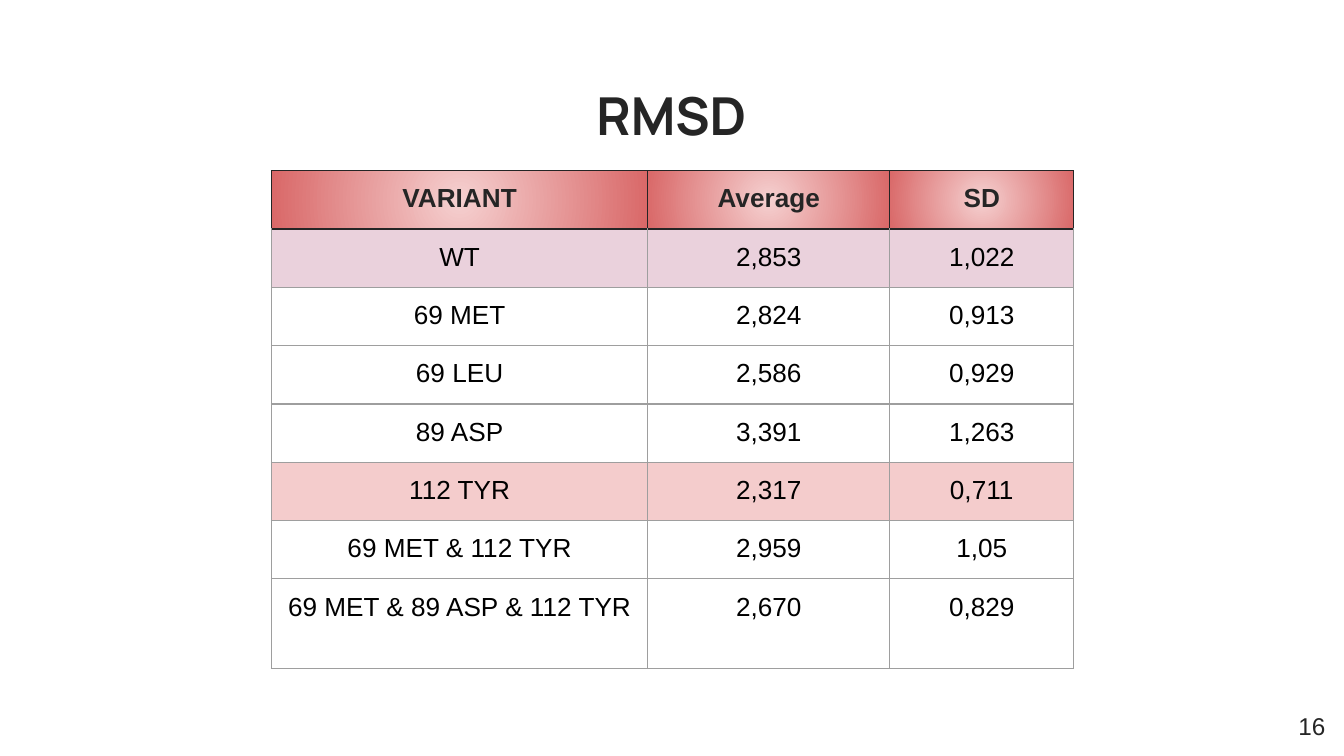
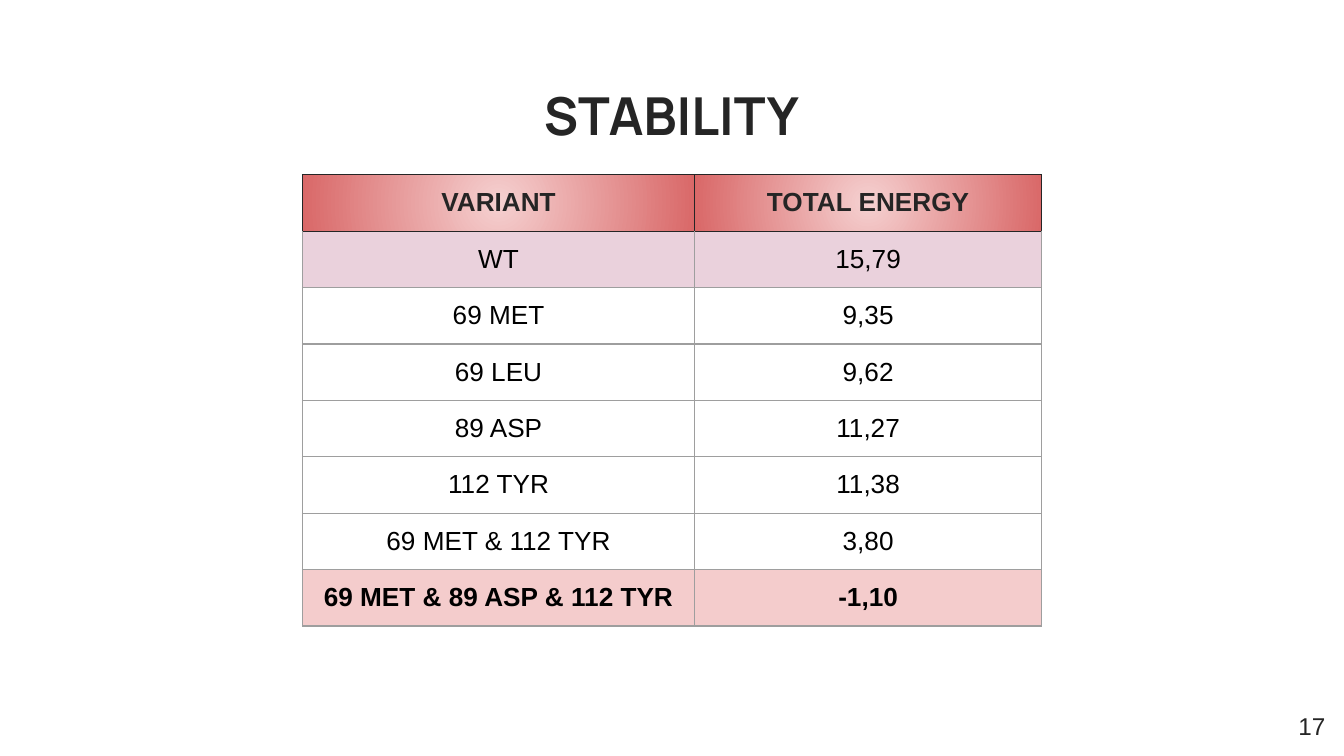
from pptx import Presentation
from pptx.dml.color import RGBColor
from pptx.enum.text import MSO_ANCHOR as Anchor, PP_ALIGN as Align
from pptx.oxml import parse_xml
from pptx.oxml.ns import nsdecls
from pptx.util import Inches, Pt

COLORS = {
    "ink": "252525",
    "body": "000000",
    "grid": "9E9E9E",
    "reference": "EAD1DC",
    "best": "F4CCCC",
    "header_center": "F5D0D0",
    "header_edge": "D96868",
}
TITLE_FONT = "Manrope"
TEXT_FONT = "Arial"
PADDING = 0.1
BORDER = Pt(0.75)
FRAME_SIDE = Inches(3.28)

VARIANTS = ["WT", "69 MET", "69 LEU", "89 ASP", "112 TYR",
            "69 MET & 112 TYR", "69 MET & 89 ASP & 112 TYR"]
AVERAGES = ["2,853", "2,824", "2,586", "3,391", "2,317", "2,959", "2,670"]
DEVIATIONS = ["1,022", "0,913", "0,929", "1,263", "0,711", "1,05", "0,829"]
ENERGIES = ["15,79", "9,35", "9,62", "11,27", "11,38", "3,80", "-1,10"]


def rgb(name):
    return RGBColor.from_string(COLORS[name])


def write(frame, text, size, color, font=TEXT_FONT, bold=False, align=Align.CENTER):
    paragraph = frame.paragraphs[0]
    paragraph.alignment = align
    run = paragraph.add_run()
    run.text = text
    run.font.name = font
    run.font.size = Pt(size)
    run.font.bold = bold
    run.font.color.rgb = rgb(color)


def pad(box, bottom=PADDING):
    box.margin_left = box.margin_right = box.margin_top = Inches(PADDING)
    box.margin_bottom = Inches(bottom)


# Title and page number
def add_title(slide, text):
    title = slide.shapes.title
    title.left, title.top = Inches(2.92), Inches(0.42)
    title.width, title.height = Inches(4.15), Inches(0.77)
    frame = title.text_frame
    frame.word_wrap = True
    frame.vertical_anchor = Anchor.BOTTOM
    pad(frame)
    write(frame, text, 28, "ink", TITLE_FONT, bold=True)


def add_page_number(slide, number):
    frame = slide.shapes.add_textbox(
        Inches(9.36), Inches(5.19), Inches(0.6), Inches(0.43)).text_frame
    frame.word_wrap = True
    pad(frame)
    write(frame, str(number), 13, "ink", align=Align.RIGHT)


# Table cells
def set_borders(cell, color, top_color):
    properties = cell._tc.get_or_add_tcPr()
    for side in "LRTB":
        line_color = COLORS[top_color if side == "T" else color]
        properties.append(parse_xml(
            f'<a:ln{side} {nsdecls("a")} w="{BORDER}"><a:solidFill>'
            f'<a:srgbClr val="{line_color}"/></a:solidFill></a:ln{side}>'))


def fill_header(cell):
    cell._tc.get_or_add_tcPr().append(parse_xml(
        f'<a:gradFill {nsdecls("a")}><a:gsLst>'
        f'<a:gs pos="0"><a:srgbClr val="{COLORS["header_center"]}"/></a:gs>'
        f'<a:gs pos="100000"><a:srgbClr val="{COLORS["header_edge"]}"/></a:gs>'
        '</a:gsLst><a:path path="circle">'
        '<a:fillToRect l="50000" t="50000" r="50000" b="50000"/>'
        '</a:path></a:gradFill>'))


def fill_row(cell, color):
    if color:
        cell.fill.solid()
        cell.fill.fore_color.rgb = rgb(color)
    else:
        cell.fill.background()


def add_variant_table(slide, left, top, widths, heights, header, columns,
                      best, bold_best=False, bottom_padding=PADDING):
    rows = [header, *zip(*columns)]
    holder = slide.shapes.add_table(
        len(rows), len(header), Inches(left), Inches(top), FRAME_SIDE, FRAME_SIDE)
    table = holder.table
    table.first_row = table.horz_banding = False
    for column, width in zip(table.columns, widths):
        column.width = Inches(width)
    for row, height in zip(table.rows, heights):
        row.height = Inches(height)
    # Resizing rows and columns also resizes the frame
    holder.width = holder.height = FRAME_SIDE

    row_fills = {1: "reference", VARIANTS.index(best) + 1: "best"}
    for r, values in enumerate(rows):
        is_header = r == 0
        row_fill = row_fills.get(r)
        bold = is_header or (bold_best and row_fill == "best")
        for c, value in enumerate(values):
            cell = table.cell(r, c)
            pad(cell, bottom_padding)
            set_borders(cell, "ink" if is_header else "grid",
                        "ink" if r <= 1 else "grid")
            if is_header:
                fill_header(cell)
            else:
                fill_row(cell, row_fill)
            write(cell.text_frame, value, 14, "ink" if is_header else "body", bold=bold)


def add_slide(deck, title, number):
    slide = deck.slides.add_slide(deck.slide_layouts[5])
    add_title(slide, title)
    add_page_number(slide, number)
    return slide


def main():
    # Widescreen, 16:9
    deck = Presentation()
    deck.slide_width = Inches(10)
    deck.slide_height = Inches(10) * 9 // 16

    # RMSD per variant
    rmsd = add_slide(deck, "RMSD", 16)
    add_variant_table(rmsd, 2.02, 1.27, [2.8, 1.8, 1.37], [0.43] * 7 + [0.67],
                      ["VARIANT", "Average", "SD"],
                      [VARIANTS, AVERAGES, DEVIATIONS], best="112 TYR")

    # Total energy per variant
    stability = add_slide(deck, "STABILITY", 17)
    add_variant_table(stability, 2.25, 1.3, [2.92, 2.58], [0.42] * 8,
                      ["VARIANT", "TOTAL ENERGY"], [VARIANTS, ENERGIES],
                      best=VARIANTS[-1], bold_best=True, bottom_padding=0.08)

    deck.save("out.pptx")


if __name__ == "__main__":
    main()
